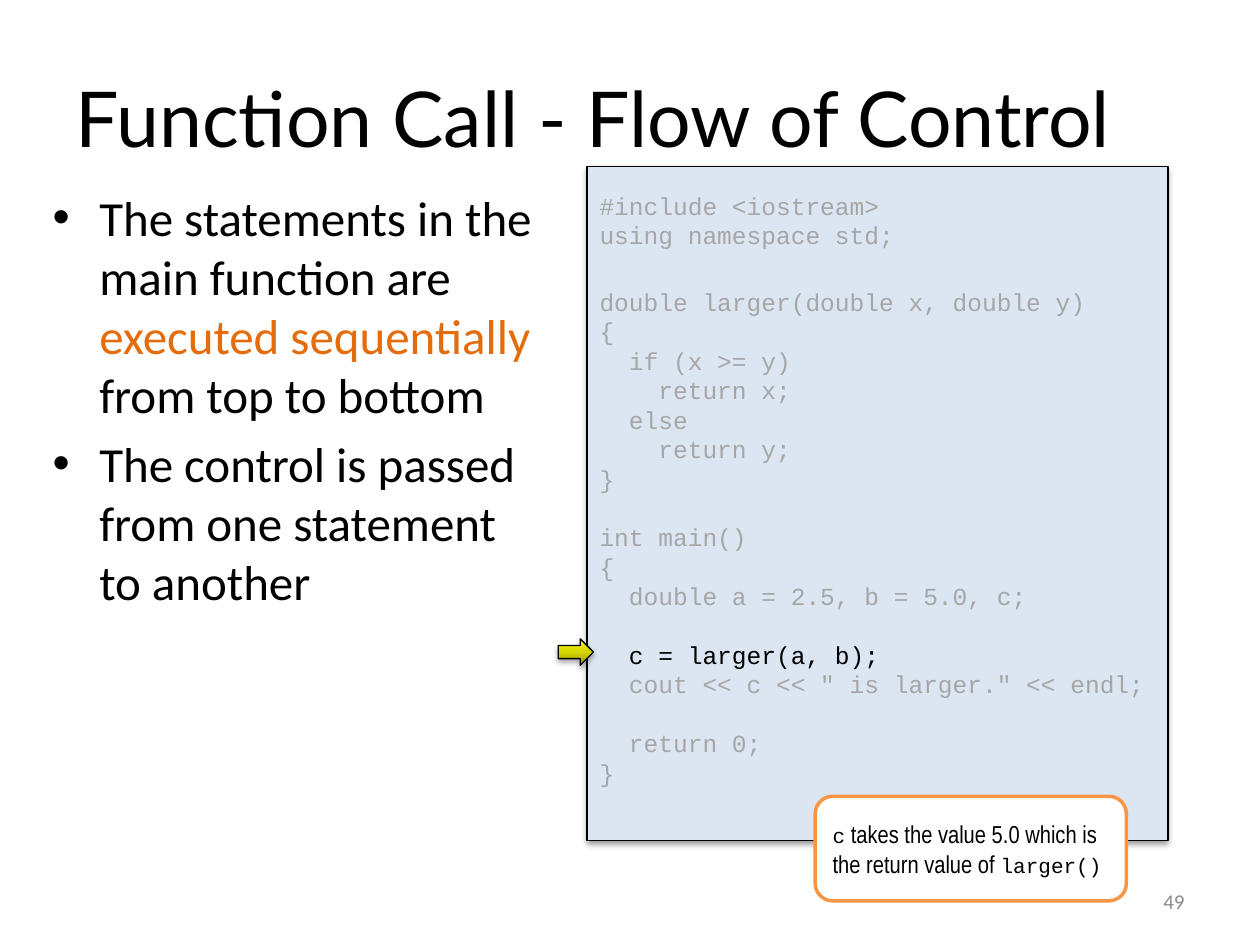
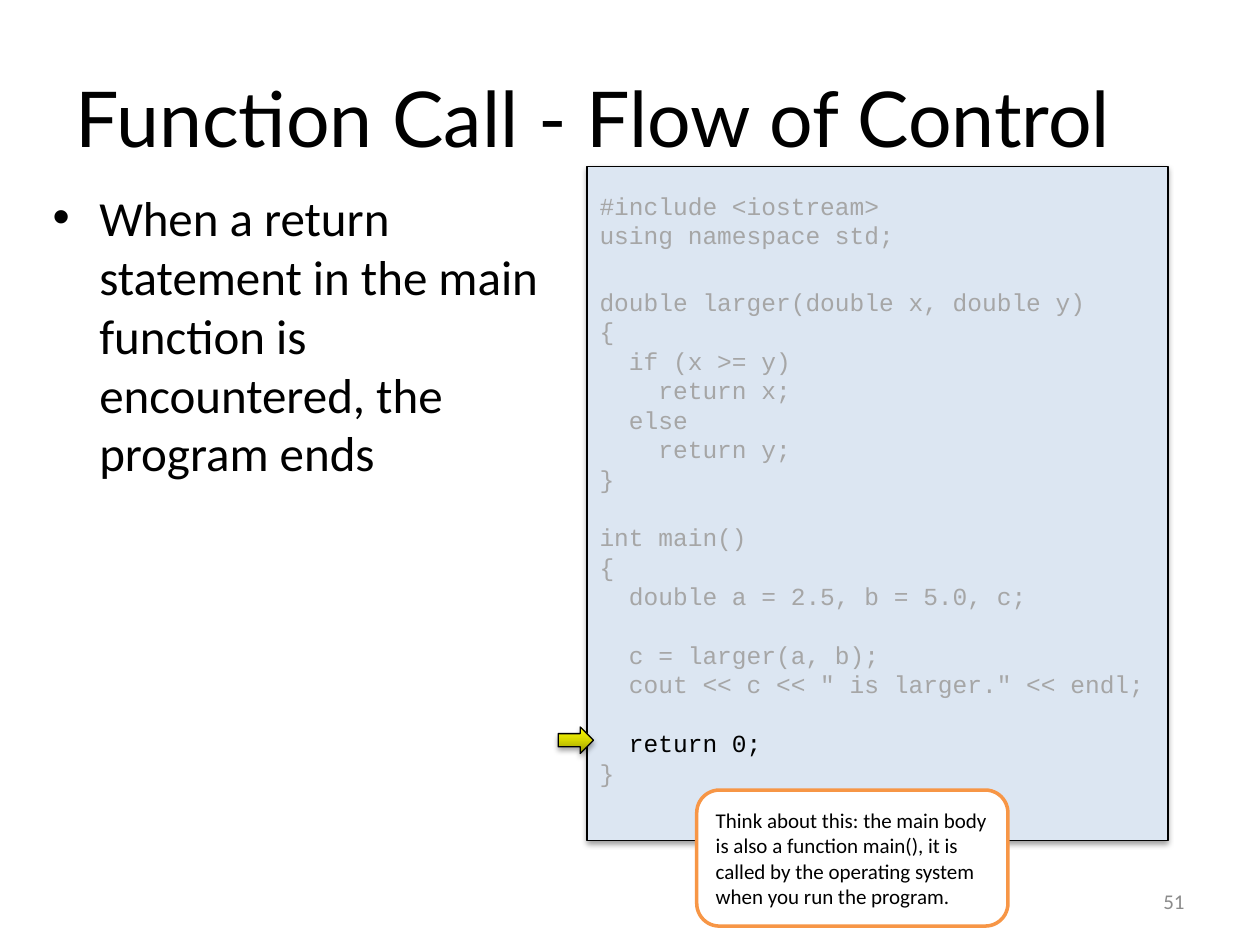
import pptx
import pptx.util
import pptx.dml.color
import pptx.enum.shapes
import pptx.enum.text
import pptx.oxml
import pptx.oxml.ns

Inches = pptx.util.Inches
Pt = pptx.util.Pt
MIDDLE = pptx.enum.text.MSO_ANCHOR.MIDDLE
ALIGN = pptx.enum.text.PP_ALIGN
SHAPES = pptx.enum.shapes.MSO_SHAPE

COLOURS = {
    "text": "000000", "accent": "E46C0A", "dimmed": "A6A6A6", "panel": "DCE6F2",
    "callout": "FFFFFF", "callout_line": "F79646", "number": "8B8B8B",
}
ARROW_STOPS = [(0, "979700"), (50, "D6D600"), (100, "FFFF00")]
FORMATS = {
    "title": {"name": "Lato", "size": Pt(44)},
    "bullet": {"name": "Calibri", "size": Pt(28)},
    "code": {"name": "Courier New", "size": Pt(14)},
    "inline_code": {"name": "Courier New", "size": Pt(12)},
    "narrow": {"name": "Arial Narrow", "size": Pt(14)},
    "small": {"name": "Calibri", "size": Pt(12)},
}
LINE_HEIGHT = 16.8
TITLE = "Function Call - Flow of Control"
CODE = """#include <iostream>
using namespace std;

double larger(double x, double y)
{
  if (x >= y)
    return x;
  else
    return y;
}

int main()
{
  double a = 2.5, b = 5.0, c;

  c = larger(a, b);
  cout << c << " is larger." << endl;

  return 0;
}""".split("\n")

SLIDES = [
    {
        "number": "49",
        "bullets": [
            [("The statements in the main function are ", "text"),
             ("executed sequentially ", "accent"),
             ("from top to bottom", "text")],
            [("The control is passed from one statement to another", "text")],
        ],
        "active": "  c = larger(a, b);",
        "callout_box": (6.47, 6.32, 2.47, 0.83),
        "callout": [("c", "inline_code"),
                    (" takes the value 5.0 which is the return value of ", "narrow"),
                    ("larger()", "inline_code")],
    },
    {
        "number": "51",
        "bullets": [[("When a return statement in the main function is encountered, "
                      "the program ends", "text")]],
        "active": "  return 0;",
        "callout_box": (5.53, 6.27, 2.47, 1.08),
        "callout": [("Think about this: the main body is also a function main(), it is "
                     "called by the operating system when you run the program.", "small")],
    },
]


def rgb(colour):
    return pptx.dml.color.RGBColor.from_string(COLOURS[colour])


def drawing_xml(tag, attributes="", content=""):
    namespace = pptx.oxml.ns.nsdecls("a")
    return pptx.oxml.parse_xml(f"<a:{tag} {namespace} {attributes}>{content}</a:{tag}>")


class SlideBuilder:
    def __init__(self, presentation):
        self.presentation = presentation
        self.slide = None

    def new_slide(self, title):
        self.slide = self.presentation.slides.add_slide(self.presentation.slide_layouts[5])
        shape = self.slide.shapes.title
        self.place(shape, (0.5, 0.3, 9, 1.25))
        paragraph = self.frame(shape, vertical_anchor=MIDDLE).paragraphs[0]
        paragraph.alignment = ALIGN.LEFT
        self.run(paragraph, title, "title")

    def place(self, shape, box):
        for name, value in zip(("left", "top", "width", "height"), box):
            setattr(shape, name, Inches(value))

    def frame(self, shape, **settings):
        frame = shape.text_frame
        settings = {"word_wrap": True, "auto_size": pptx.enum.text.MSO_AUTO_SIZE.NONE, **settings}
        for name, value in settings.items():
            setattr(frame, name, value)
        return frame

    def run(self, paragraph, text, style, colour="text"):
        run = paragraph.add_run()
        run.text = text
        for name, value in FORMATS[style].items():
            setattr(run.font, name, value)
        run.font.color.rgb = rgb(colour)

    def paragraph(self, frame, index):
        return frame.add_paragraph() if index else frame.paragraphs[0]

    def text_box(self, box, **settings):
        shape = self.slide.shapes.add_textbox(*map(Inches, box))
        return self.frame(shape, **settings)

    def shape(self, kind, box, fill=None, line="text", width=0.75):
        shape = self.slide.shapes.add_shape(kind, *map(Inches, box))
        shape.shadow.inherit = False
        if fill:
            shape.fill.solid()
            shape.fill.fore_color.rgb = rgb(fill)
        shape.line.color.rgb = rgb(line)
        shape.line.width = Pt(width)
        return shape

    def add_shadow(self, shape, opacity, distance):
        effects = shape.element.spPr.find(pptx.oxml.ns.qn("a:effectLst"))
        effects.append(drawing_xml(
            "outerShdw",
            f'blurRad="{Pt(3.1)}" dist="{Pt(distance)}" dir="5400000" rotWithShape="0"',
            f'<a:srgbClr val="{COLOURS["text"]}"><a:alpha val="{opacity * 1000}"/></a:srgbClr>'))

    def bullets(self, items):
        frame = self.text_box((0.31, 1.44, 4.06, 5.37))
        for index, runs in enumerate(items):
            paragraph = self.paragraph(frame, index)
            properties = paragraph._p.get_or_add_pPr()
            properties.set("marL", str(Inches(0.38)))
            properties.set("indent", str(Inches(-0.37)))
            properties.append(drawing_xml("buClr", "", f'<a:srgbClr val="{COLOURS["text"]}"/>'))
            properties.append(drawing_xml("buFont", 'typeface="Arial"'))
            properties.append(drawing_xml("buChar", 'char="•"'))
            if index:
                paragraph.space_before = Pt(6)
            for text, colour in runs:
                self.run(paragraph, text, "bullet", colour)

    def code_panel(self, lines, active):
        panel = self.shape(SHAPES.RECTANGLE, (4.66, 1.32, 4.61, 5.35), "panel")
        self.add_shadow(panel, 38, 1.6)
        frame = self.frame(panel, vertical_anchor=MIDDLE, margin_bottom=Inches(0.28))
        gap = 0
        first_gap = 21.5
        for index, line in enumerate(lines):
            if not line:
                gap, first_gap = first_gap, LINE_HEIGHT
                continue
            paragraph = self.paragraph(frame, index)
            paragraph.alignment = ALIGN.LEFT
            paragraph.line_spacing = Pt(LINE_HEIGHT)
            paragraph.space_before = Pt(gap)
            self.run(paragraph, line, "code", "text" if line == active else "dimmed")
            gap = 0

    def arrow(self, line_index):
        top = 1.57 + line_index * LINE_HEIGHT / 72
        arrow = self.shape(SHAPES.RIGHT_ARROW, (4.43, top, 0.28, 0.21))
        stops = "".join(f'<a:gs pos="{position * 1000}"><a:srgbClr val="{colour}"/></a:gs>'
                        for position, colour in ARROW_STOPS)
        arrow.element.spPr.insert(2, drawing_xml(
            "gradFill", 'rotWithShape="1"',
            f'<a:gsLst>{stops}</a:gsLst><a:lin ang="16200000" scaled="0"/>'))
        self.add_shadow(arrow, 35, 1.8)

    def slide_number(self, number):
        frame = self.text_box((7.17, 6.95, 2.33, 0.4), vertical_anchor=MIDDLE)
        frame.paragraphs[0].alignment = ALIGN.RIGHT
        self.run(frame.paragraphs[0], number, "small", "number")

    def callout(self, box, runs):
        shape = self.shape(SHAPES.ROUNDED_RECTANGLE, box, "callout", "callout_line", 2)
        paragraph = self.frame(shape, vertical_anchor=MIDDLE).paragraphs[0]
        paragraph.alignment = ALIGN.LEFT
        for text, style in runs:
            self.run(paragraph, text, style)


def main():
    presentation = pptx.Presentation()
    presentation.slide_width = Inches(10)
    presentation.slide_height = Inches(7.5)
    builder = SlideBuilder(presentation)
    for content in SLIDES:
        builder.new_slide(TITLE)
        builder.bullets(content["bullets"])
        builder.code_panel(CODE, content["active"])
        builder.arrow(CODE.index(content["active"]))
        builder.slide_number(content["number"])
        builder.callout(content["callout_box"], content["callout"])
    presentation.save("out.pptx")


if __name__ == "__main__":
    main()
